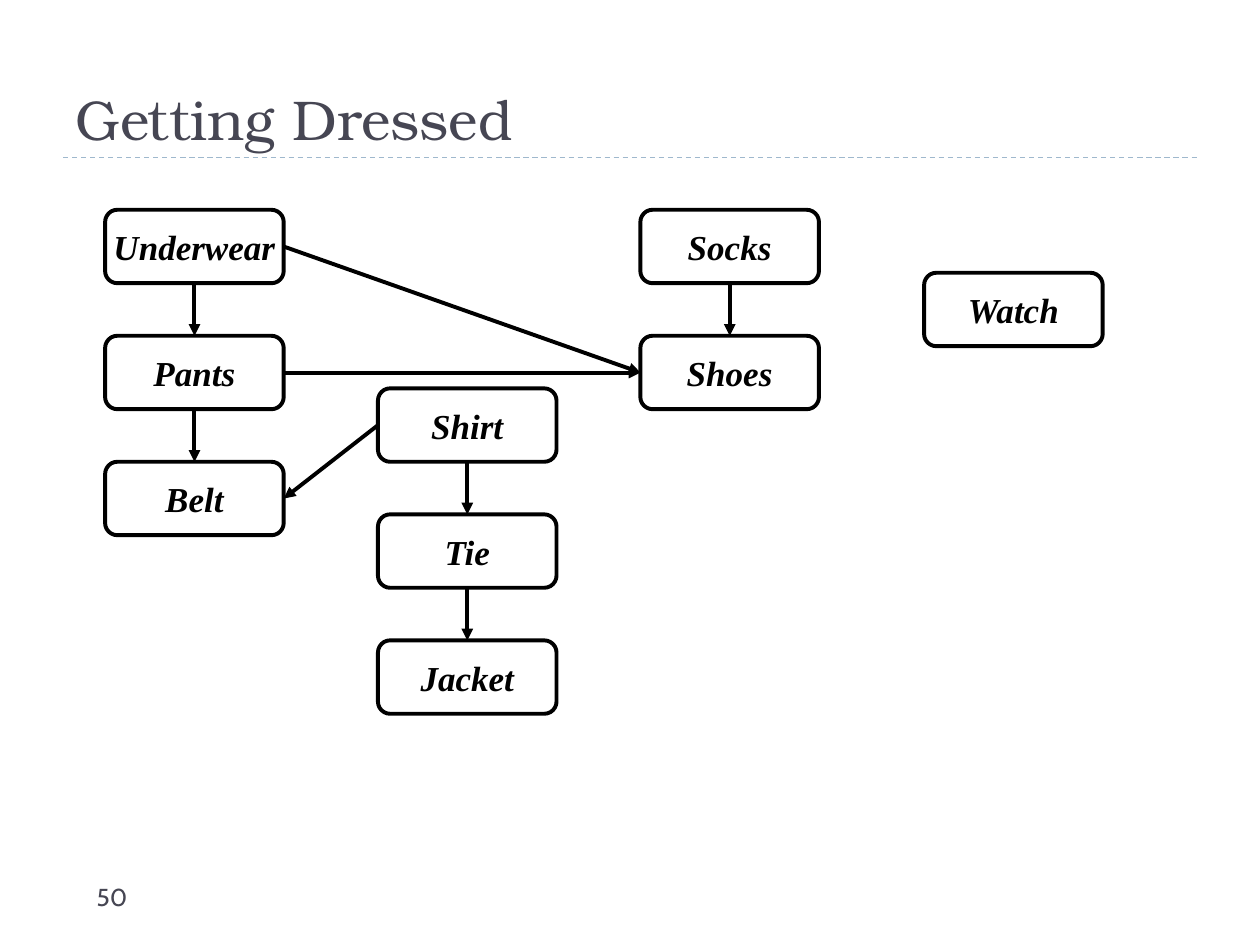
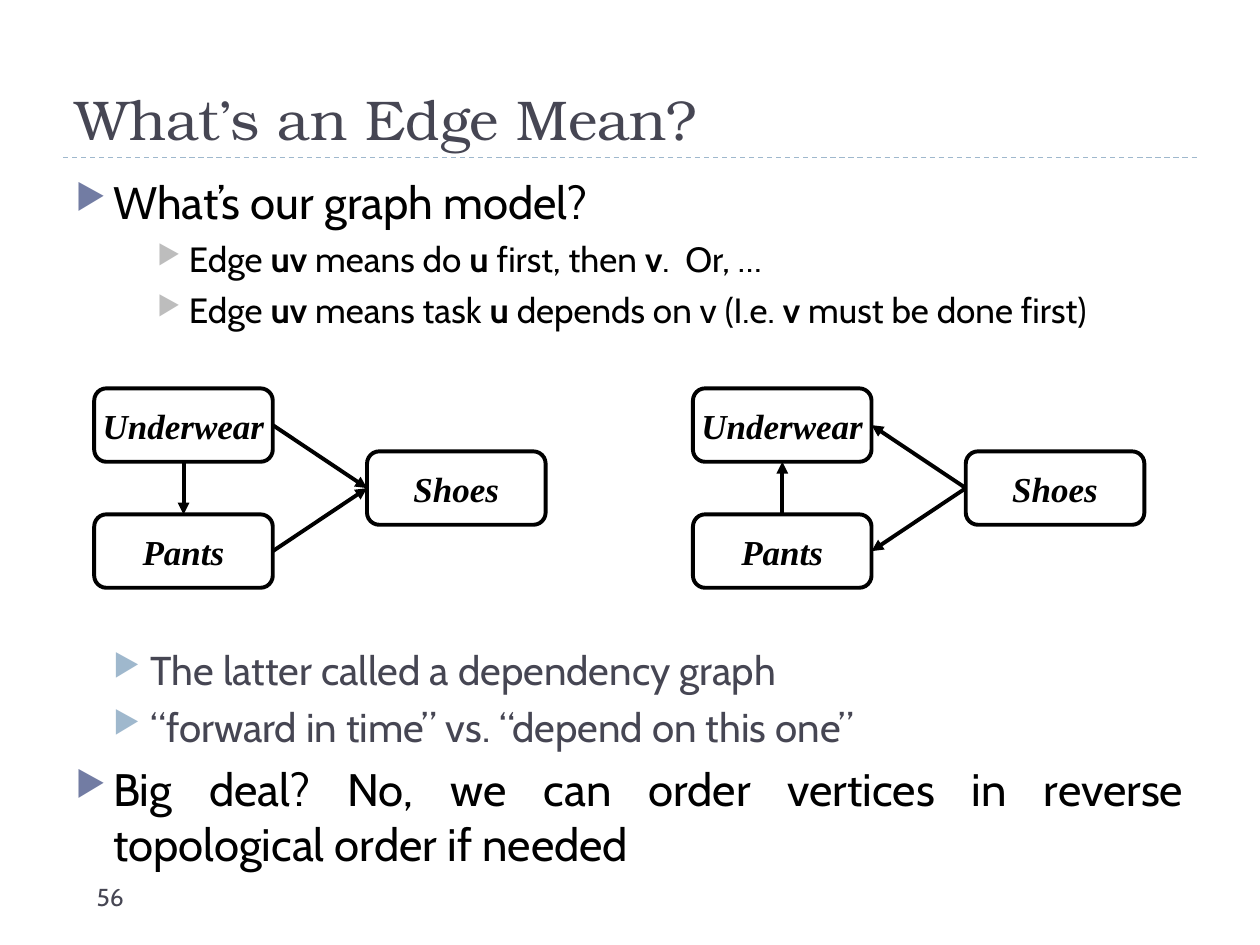
from typing import NamedTuple

from lxml import etree
from pptx import Presentation
from pptx import util as u
from pptx.dml.color import RGBColor
from pptx.enum import dml, shapes, text
from pptx.oxml import ns

# Shared style
BLACK, SLATE, RULE = "000000", "464653", "9FB8CD"
TITLE_FONT, BODY_FONT, BOX_FONT = "TeX Gyre Bonum", "Cabin", "Times New Roman"
BOX_W, BOX_H = 3.6, 1.48
ROW = 2.54
TOP, LEFT, BOTTOM, RIGHT = range(4)  # connection sites of a rounded box


class Box(NamedTuple):
    label: str
    x: float
    y: float


class Edge(NamedTuple):
    start: str
    start_site: int
    end: str
    end_site: int

    def flipped(self) -> "Edge":
        return Edge(self.end, self.end_site, self.start, self.start_site)


class Level(NamedTuple):
    size: int
    color: str
    bullet: str
    margin: float
    hanging: float
    before: int


class Item(NamedTuple):
    text: str  # *word* is bold
    level: int
    before: int = 0  # replaces the level's spacing


LEVELS = [
    Level(26, BLACK, "727CA3", 0.76, 0.76, 6),
    Level(23, SLATE, "9FB8CD", 1.52, 0.76, 5),
    Level(20, BLACK, "BDBDBD", 2.29, 0.64, 5),
]


def rgb(value: str) -> RGBColor:
    return RGBColor.from_string(value)


def add_run(p, words: str, *, font: str, size: float, color: str,
            bold: bool = False, italic: bool = False):
    r = p.add_run()
    r.text = words
    f = r.font
    f.name, f.size, f.bold, f.italic = font, u.Pt(size), bold, italic
    f.color.rgb = rgb(color)
    return r


def add_textbox(s, x: float, y: float, w: float, h: float,
                anchor=text.MSO_ANCHOR.TOP):
    tf = s.shapes.add_textbox(u.Cm(x), u.Cm(y), u.Cm(w), u.Cm(h)).text_frame
    tf.word_wrap = True
    tf.vertical_anchor = anchor
    return tf


def add_line(s, x1: float, y1: float, x2: float, y2: float, color: str, width: float):
    c = s.shapes.add_connector(shapes.MSO_CONNECTOR.STRAIGHT,
                               u.Cm(x1), u.Cm(y1), u.Cm(x2), u.Cm(y2))
    c.line.color.rgb = rgb(color)
    c.line.width = u.Pt(width)
    etree.SubElement(c._element.spPr, ns.qn("a:effectLst"))
    return c


def add_slide(prs, title: str, number: int):
    """Slide with the title, dashed rule and page number."""
    s = prs.slides.add_slide(prs.slide_layouts[6])
    rule = add_line(s, 1.27, 3.18, 24.13, 3.18, RULE, 0.75)
    rule.line.dash_style = dml.MSO_LINE.DASH
    tf = add_textbox(s, 1.27, 0.43, 22.86, 2.75, text.MSO_ANCHOR.BOTTOM)
    add_run(tf.paragraphs[0], title, font=TITLE_FONT, size=32, color=SLATE)
    tf = add_textbox(s, 1.7, 17.65, 5.5, 1.02)
    add_run(tf.paragraphs[0], str(number), font=BODY_FONT, size=14, color=SLATE)
    return s


def add_box(s, box: Box):
    sp = s.shapes.add_shape(shapes.MSO_SHAPE.ROUNDED_RECTANGLE,
                            u.Cm(box.x), u.Cm(box.y), u.Cm(BOX_W), u.Cm(BOX_H))
    sp.shadow.inherit = False
    sp.fill.background()
    sp.line.color.rgb = rgb(BLACK)
    sp.line.width = u.Pt(2.25)
    tf = sp.text_frame
    tf.word_wrap = False
    tf.vertical_anchor = text.MSO_ANCHOR.MIDDLE
    p = tf.paragraphs[0]
    p.alignment = text.PP_ALIGN.CENTER
    add_run(p, box.label, font=BOX_FONT, size=20, color=BLACK, bold=True, italic=True)
    return sp


def add_graph(s, boxes: list[Box], edges: list[Edge]) -> None:
    """Draw the boxes, then arrows glued to their sides."""
    placed = {box.label: add_box(s, box) for box in boxes}
    for edge in edges:
        c = add_line(s, 0, 0, 0, 0, BLACK, 2.25)
        c.begin_connect(placed[edge.start], edge.start_site)
        c.end_connect(placed[edge.end], edge.end_site)
        etree.SubElement(c.line._get_or_add_ln(), ns.qn("a:tailEnd"), type="triangle")


def add_bullet(p, level: Level) -> None:
    pPr = p._p.get_or_add_pPr()
    pPr.set("marL", str(u.Cm(level.margin)))
    pPr.set("indent", str(-u.Cm(level.hanging)))
    color = etree.SubElement(pPr, ns.qn("a:buClr"))
    etree.SubElement(color, ns.qn("a:srgbClr"), val=level.bullet)
    etree.SubElement(pPr, ns.qn("a:buSzPct"), val="76000")
    etree.SubElement(pPr, ns.qn("a:buChar"), char="▶")


def add_items(s, items: list[Item]) -> None:
    tf = add_textbox(s, 1.27, 3.39, 22.86, 15.03)
    for i, item in enumerate(items):
        p = tf.add_paragraph() if i else tf.paragraphs[0]
        level = LEVELS[item.level]
        p.level = item.level
        p.alignment = text.PP_ALIGN.JUSTIFY
        p.space_before = u.Pt(item.before or level.before)
        add_bullet(p, level)
        for n, words in enumerate(item.text.split("*")):
            if words:
                add_run(p, words, font=BODY_FONT, size=level.size,
                        color=level.color, bold=n % 2 == 1)


def column(x: float, y: float, *labels: str) -> list[Box]:
    return [Box(label, x, y + i * ROW) for i, label in enumerate(labels)]


def chain(*labels: str) -> list[Edge]:
    return [Edge(a, BOTTOM, b, TOP) for a, b in zip(labels, labels[1:])]


def getting_dressed(prs) -> None:
    s = add_slide(prs, "Getting Dressed", 50)
    legs = ("Underwear", "Pants", "Belt")
    feet = ("Socks", "Shoes")
    torso = ("Shirt", "Tie", "Jacket")
    boxes = (column(2.12, 4.23, *legs) + column(12.91, 4.23, *feet)
             + column(7.62, 7.83, *torso) + column(18.63, 5.5, "Watch"))
    edges = chain(*legs) + chain(*feet) + chain(*torso) + [
        Edge("Shirt", LEFT, "Belt", RIGHT),
        Edge("Underwear", RIGHT, "Shoes", LEFT),
        Edge("Pants", RIGHT, "Shoes", LEFT),
    ]
    add_graph(s, boxes, edges)


def edge_meaning(prs) -> None:
    s = add_slide(prs, "What’s an Edge Mean?", 56)
    # The wide spacing leaves room for the two graphs
    add_items(s, [
        Item("What’s our graph model?", 0),
        Item("Edge *uv* means do *u* first, then *v*.  Or, …", 2),
        Item("Edge *uv* means task *u* depends on v (I.e. *v* must be done first)", 2),
        Item("The latter called a dependency graph", 1, before=180),
        Item("“forward in time” vs. “depend on this one”", 1),
        Item("Big deal? No, we can order vertices in reverse "
             "topological order if needed", 0),
    ])
    forward = chain("Underwear", "Pants") + [
        Edge(label, RIGHT, "Shoes", LEFT) for label in ("Underwear", "Pants")]
    depends = [edge.flipped() for edge in forward]
    y = 7.83
    for x, edges in ((1.9, forward), (13.97, depends)):
        boxes = column(x, y, "Underwear", "Pants") + [Box("Shoes", x + 5.5, y + ROW / 2)]
        add_graph(s, boxes, edges)


def main() -> None:
    prs = Presentation()
    prs.slide_width, prs.slide_height = u.Cm(25.4), u.Cm(19.05)
    getting_dressed(prs)
    edge_meaning(prs)
    prs.save("out.pptx")


if __name__ == "__main__":
    main()
